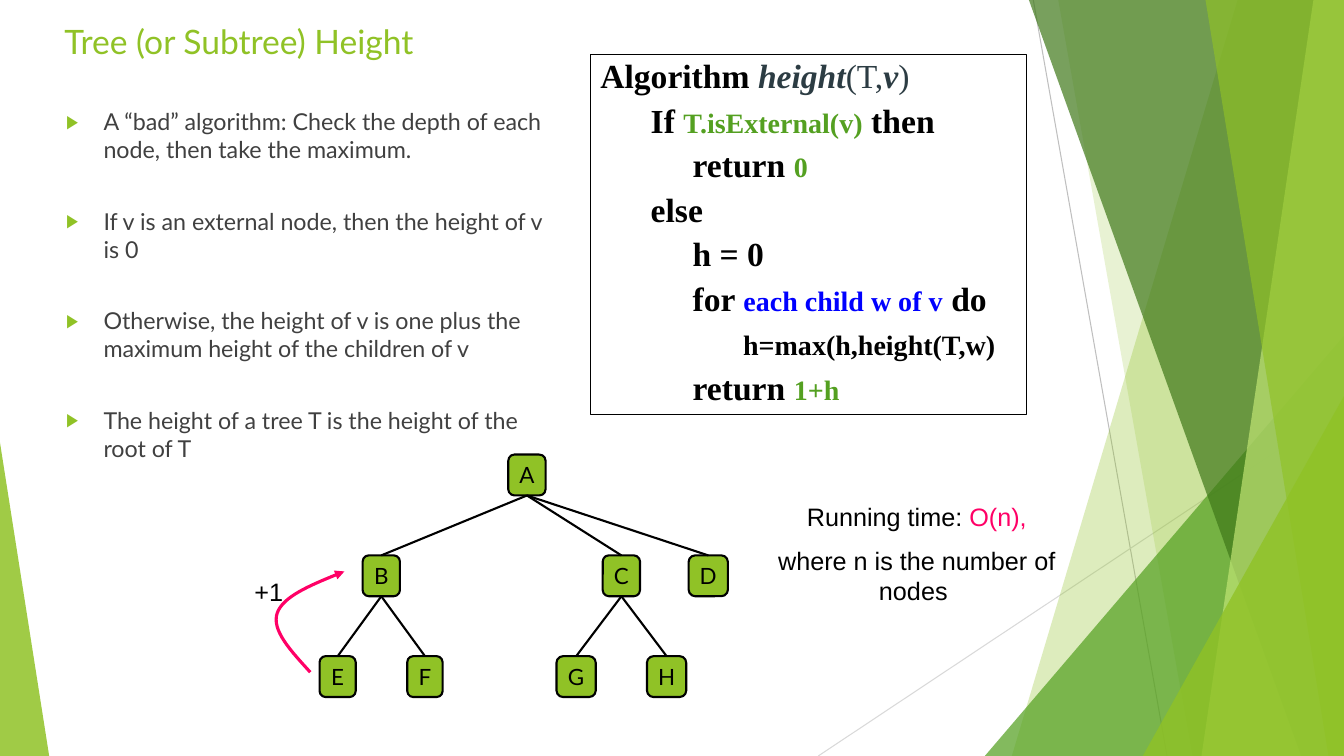
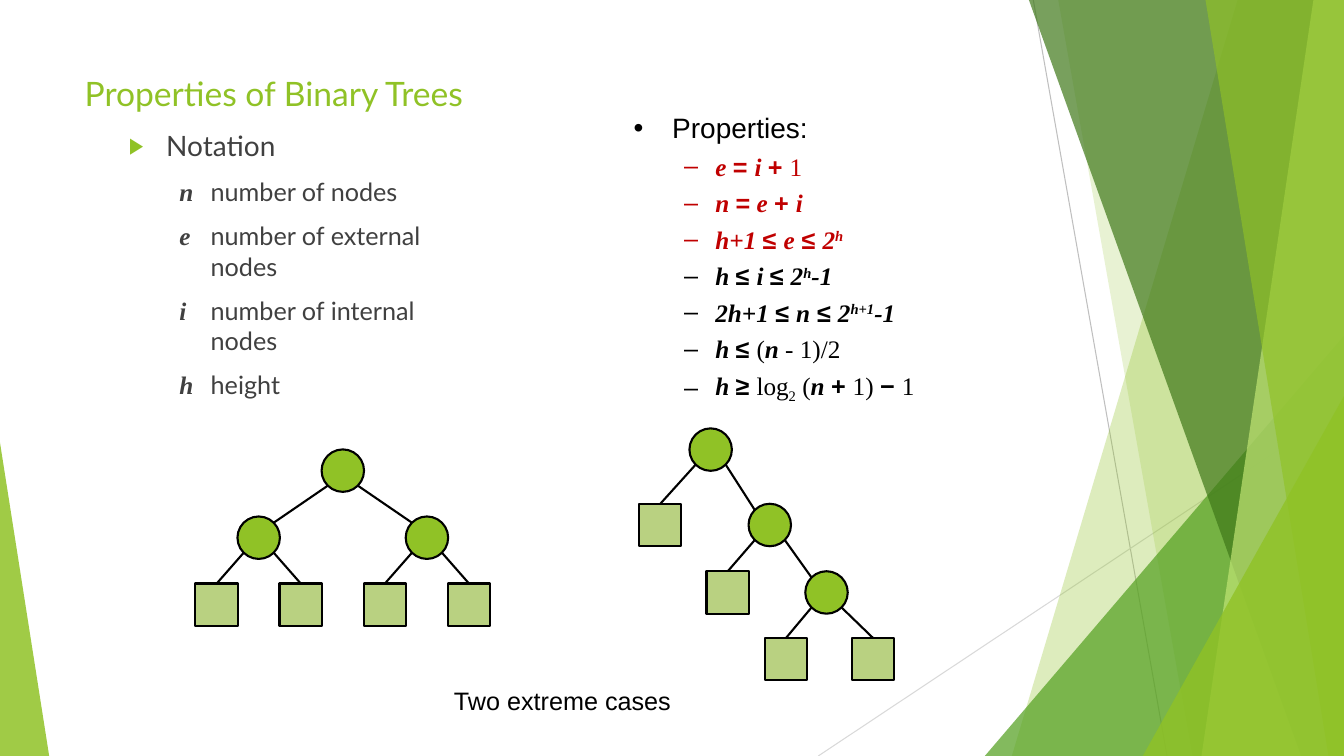
"""Build two slides on tree height and binary tree properties."""
import dataclasses
import typing

import lxml.etree
import pptx
import pptx.dml.color
import pptx.enum.shapes
import pptx.enum.text
import pptx.oxml.ns
import pptx.util

Cm = pptx.util.Cm
Pt = pptx.util.Pt
RGB = pptx.dml.color.RGBColor
SHAPE = pptx.enum.shapes.MSO_SHAPE
ALIGN = pptx.enum.text.PP_ALIGN
ANCHOR = pptx.enum.text.MSO_ANCHOR
qn = pptx.oxml.ns.qn

LIME = RGB(0x90, 0xC2, 0x26)
GREEN = RGB(0x54, 0xA0, 0x21)
FOREST = RGB(0x3F, 0x78, 0x19)
PALE_LIME = RGB(0xC0, 0xE4, 0x74)
LEAF = RGB(0xB9, 0xD1, 0x81)
SLATE = RGB(0x2C, 0x3C, 0x43)
BODY = RGB(0x40, 0x40, 0x40)
BLACK = RGB(0, 0, 0)
BLUE = RGB(0, 0, 0xFF)
RED = RGB(0xC0, 0, 0)
PINK = RGB(0xFF, 0, 0x66)
GREY = RGB(0xBF, 0xBF, 0xBF)
LIGHT_GREY = RGB(0xD9, 0xD9, 0xD9)
SLIDE_W, SLIDE_H = 33.87, 19.05
NODE = 1.07


@dataclasses.dataclass(frozen=True)
class Style:
    """Character formatting."""
    font: str
    size: float
    color: RGB = BLACK
    bold: bool = False
    italic: bool = False
    base: int = 0


@dataclasses.dataclass(frozen=True)
class Para:
    """A paragraph: its runs, spacing, indents in cm and bullet."""
    runs: list[tuple[str, Style]]
    before: float = 0
    left: float = 0
    hang: float = 0
    bullet: str = ""
    bullet_color: RGB | None = None
    align: ALIGN = ALIGN.LEFT
    spacing: float = 1.0
    level: int = 0


@dataclasses.dataclass(frozen=True)
class Pane:
    """A full-height translucent band ending at the right slide edge."""
    top_x: float
    bottom_x: float
    color: RGB
    alpha: int


@dataclasses.dataclass(frozen=True)
class Wedge:
    """A translucent right triangle standing on the slide's bottom."""
    x: float
    y: float
    w: float
    apex: int
    color: RGB
    alpha: int


@dataclasses.dataclass(frozen=True)
class Vertex:
    """A tree node by centre x and y, with its parent's name."""
    name: str
    x: float
    y: float
    parent: str = ""
    leaf: bool = False
    w: float = NODE


BACKDROP = [
    Pane(31.19, 25.5, LIME, 30), Pane(26.67, 30.05, LIME, 20),
    Wedge(24.82, 8.46, 9.05, 1, GREEN, 72),
    Pane(25.93, 32.79, FOREST, 70), Pane(33.1, 30.28, PALE_LIME, 70),
    Pane(30.38, 33.48, LIME, 65),
    Wedge(28.8, 9.98, 5.07, 1, LIME, 80), Wedge(0, 11.15, 1.24, 0, LIME, 85),
]

TITLE = Style("Lato", 24, LIME)
POINT = Style("Lato", 16.6, BODY)
HEADING = Style("Lato", 20, BODY)
MEANING = Style("Lato", 18, BODY)
SYMBOL = Style("Times New Roman", 18, BODY, True, True)
NOTE = Style("Arial", 18)
LABEL = Style("Lato", 16)

WORD = Style("Times New Roman", 24, BLACK, True)
SIGNATURE = Style("Times New Roman", 24, SLATE)
ARGUMENT = dataclasses.replace(SIGNATURE, bold=True, italic=True)
CODE = dataclasses.replace(WORD, size=20)
VALUE = dataclasses.replace(CODE, color=GREEN)
LOOP = dataclasses.replace(CODE, color=BLUE)

MATH = Style("Times New Roman", 18, BLACK, True, True)
SUP = dataclasses.replace(MATH, base=30)
OP = Style("Arial", 18, BLACK, True)
PLAIN = Style("Times New Roman", 18)
SUB = dataclasses.replace(PLAIN, base=-25)

POINTS = [
    "A “bad” algorithm: Check the depth of each node, then take the maximum.",
    "If v is an external node, then the height of v is 0",
    "Otherwise, the height of v is one plus the maximum height of the children of v",
    "The height of a tree T is the height of the root of T",
]
ALGORITHM = [
    [("Algorithm ", WORD), ("height", ARGUMENT), ("(T,", SIGNATURE), ("v", ARGUMENT), (")", SIGNATURE)],
    [("If ", WORD), ("T.isExternal(v)", VALUE), (" ", WORD), ("then", WORD)],
    [("     ", WORD), ("return ", WORD), ("0", VALUE)],
    [("else", WORD)],
    [("     h = 0", WORD)],
    [("     for ", WORD), ("each child w of v", LOOP), (" do", WORD)],
    [("\t     ", WORD), ("h=max(h,height(T,w)", CODE)],
    [("     ", WORD), ("return ", WORD), ("1+h", VALUE)],
]
NOTATION = [("n", "number of nodes"), ("e", "number of external nodes"),
            ("i", "number of internal nodes"), ("h", "height")]
PROPERTIES = [
    (RED, [("e ", MATH), ("= ", OP), ("i ", MATH), ("+ ", OP), ("1", PLAIN)]),
    (RED, [("n ", MATH), ("=", OP), (" e ", MATH), ("+ ", OP), ("i", MATH)]),
    (RED, [("h+1 ", MATH), ("≤ ", OP), ("e", MATH), (" ≤ ", OP), ("2", MATH), ("h", SUP)]),
    (BLACK, [("h ", MATH), ("≤ ", OP), ("i ", MATH), ("≤ ", OP), ("2", MATH), ("h", SUP), ("-1", MATH)]),
    (BLACK, [("2h+1 ", MATH), ("≤ ", OP), ("n", MATH), (" ≤ ", OP), ("2", MATH), ("h+1", SUP), ("-1", MATH)]),
    (BLACK, [("h ", MATH), ("≤ ", OP), ("(", PLAIN), ("n", MATH), (" - 1)/2", PLAIN)]),
    (BLACK, [("h ", MATH), ("≥ ", OP), ("log", PLAIN), ("2", SUB), (" (", PLAIN), ("n ", MATH),
             ("+ ", OP), ("1) ", PLAIN), ("− ", OP), ("1", PLAIN)]),
]

ROWS = [11.97 + 2.54 * i for i in range(3)]
HEIGHT_TREE = [
    Vertex("A", 13.28, ROWS[0], w=0.94), Vertex("B", 9.61, ROWS[1], "A", w=0.94),
    Vertex("C", 15.66, ROWS[1], "A", w=0.94), Vertex("D", 17.85, ROWS[1], "A", w=0.99),
    Vertex("E", 8.51, ROWS[2], "B", w=0.91), Vertex("F", 10.71, ROWS[2], "B", w=0.89),
    Vertex("G", 14.52, ROWS[2], "C", w=0.99), Vertex("H", 16.8, ROWS[2], "C", w=0.99),
]
LEAF_X, LEAF_GAP = 5.46, 2.12
FULL_TREE = [
    Vertex("root", LEAF_X + 1.5 * LEAF_GAP, 11.86),
    *(Vertex(f"inner{i}", LEAF_X + (2 * i + 0.5) * LEAF_GAP, 13.55, "root") for i in range(2)),
    *(Vertex(f"leaf{i}", LEAF_X + i * LEAF_GAP, 15.24, f"inner{i // 2}", True) for i in range(4)),
]
CHAIN_TREE = [
    Vertex("root", 17.91, 11.33), Vertex("leaf0", 16.64, 13.23, "root", True),
    Vertex("inner1", 19.4, 13.23, "root"), Vertex("leaf1", 18.34, 14.93, "inner1", True),
    Vertex("inner2", 20.83, 14.93, "inner1"), Vertex("leaf2", 19.81, 16.61, "inner2", True),
    Vertex("leaf3", 22, 16.61, "inner2", True),
]


def write(tf: typing.Any, paras: list[Para]) -> None:
    """Fill a text frame with paragraphs, run by run."""
    for i, para in enumerate(paras):
        p = tf.paragraphs[0] if i == 0 else tf.add_paragraph()
        p.alignment, p.level, p.line_spacing = para.align, para.level, para.spacing
        p.space_before = Pt(para.before if i else 0)
        pPr = p._p.get_or_add_pPr()
        pPr.set("marL", str(Cm(para.left)))
        pPr.set("indent", str(-Cm(para.hang)))
        if para.bullet:
            if para.bullet_color is not None:
                clr = lxml.etree.SubElement(pPr, qn("a:buClr"))
                lxml.etree.SubElement(clr, qn("a:srgbClr"), val=str(para.bullet_color))
                lxml.etree.SubElement(pPr, qn("a:buSzPct"), val="80000")
            lxml.etree.SubElement(pPr, qn("a:buFont"), typeface="Arial")
            lxml.etree.SubElement(pPr, qn("a:buChar"), char=para.bullet)
        for text, style in para.runs:
            r = p.add_run()
            r.text = text
            r.font.name, r.font.size, r.font.color.rgb = style.font, Pt(style.size), style.color
            r.font.bold, r.font.italic = style.bold, style.italic
            if style.base:
                r._r.get_or_add_rPr().set("baseline", str(style.base * 1000))


def add_text(s: typing.Any, x: float, y: float, w: float, h: float, paras: list[Para]) -> typing.Any:
    """Add a wrapping text box."""
    sp = s.shapes.add_textbox(Cm(x), Cm(y), Cm(w), Cm(h))
    sp.text_frame.word_wrap = True
    write(sp.text_frame, paras)
    return sp


def add_line(shapes: typing.Any, x1: float, y1: float, x2: float, y2: float,
             color: RGB = BLACK, width: float = 1.5) -> typing.Any:
    """Add a straight line without shadow."""
    line = shapes.add_connector(pptx.enum.shapes.MSO_CONNECTOR.STRAIGHT, Cm(x1), Cm(y1), Cm(x2), Cm(y2))
    line.line.color.rgb, line.line.width = color, Pt(width)
    lxml.etree.SubElement(line.element.spPr, qn("a:effectLst"))
    return line


def add_backdrop(s: typing.Any, layout: typing.Any) -> None:
    """Draw the facets as a group and hand them to the layout."""
    group = s.shapes.add_group_shape()
    add_line(group.shapes, 26.04, 0, 29.41, SLIDE_H, GREY, 0.75)
    add_line(group.shapes, SLIDE_W, 10.24, 20.62, SLIDE_H, LIGHT_GREY, 0.75)
    for facet in BACKDROP:
        if isinstance(facet, Pane):
            fb = group.shapes.build_freeform(Cm(facet.top_x), 0)
            corners = [(SLIDE_W, 0), (SLIDE_W, SLIDE_H), (facet.bottom_x, SLIDE_H)]
            fb.add_line_segments([(Cm(x), Cm(y)) for x, y in corners])
            sp = fb.convert_to_shape()
        else:
            sp = group.shapes.add_shape(SHAPE.ISOSCELES_TRIANGLE, Cm(facet.x), Cm(facet.y),
                                        Cm(facet.w), Cm(SLIDE_H - facet.y))
            sp.adjustments[0] = facet.apex
        sp.shadow.inherit = False
        sp.line.fill.background()
        sp.fill.solid()
        sp.fill.fore_color.rgb = facet.color
        clr = sp.element.spPr.find(".//" + qn("a:srgbClr"))
        lxml.etree.SubElement(clr, qn("a:alpha"), val=str(facet.alpha * 1000))
    layout.shapes.element.insert(2, group.element)


def set_title(s: typing.Any, text: str, x: float, y: float, w: float, h: float) -> None:
    """Place and format the title placeholder."""
    sp = s.shapes.title
    sp.left, sp.top, sp.width, sp.height = Cm(x), Cm(y), Cm(w), Cm(h)
    tf = sp.text_frame
    tf.auto_size = pptx.enum.text.MSO_AUTO_SIZE.NONE
    tf.vertical_anchor = ANCHOR.TOP
    write(tf, [Para([(text, TITLE)])])


def add_node(s: typing.Any, v: Vertex, kind: SHAPE, h: float = NODE) -> typing.Any:
    """Add one outlined node centred on its vertex."""
    sp = s.shapes.add_shape(kind, Cm(v.x - v.w / 2), Cm(v.y - h / 2), Cm(v.w), Cm(h))
    sp.shadow.inherit = False
    sp.fill.solid()
    sp.fill.fore_color.rgb = LEAF if v.leaf else LIME
    sp.line.color.rgb, sp.line.width = BLACK, Pt(1.5)
    return sp


def add_labelled_tree(s: typing.Any, tree: list[Vertex]) -> None:
    """Draw rounded, lettered nodes joined bottom to top."""
    nodes = {}
    for v in tree:
        sp = nodes[v.name] = add_node(s, v, SHAPE.ROUNDED_RECTANGLE, 1.03)
        sp.text_frame.word_wrap = False
        sp.text_frame.vertical_anchor = ANCHOR.MIDDLE
        write(sp.text_frame, [Para([(v.name, LABEL)], align=ALIGN.CENTER)])
        if v.parent:
            line = add_line(s.shapes, 0, 0, 1, 1)
            line.begin_connect(nodes[v.parent], 2)
            line.end_connect(sp, 0)


def add_plain_tree(s: typing.Any, tree: list[Vertex]) -> None:
    """Draw round inner nodes and square leaves joined at the diagonals."""
    places = {v.name: v for v in tree}
    reach = NODE / 2 * 0.5 ** 0.5
    for v in tree:
        sp = add_node(s, v, SHAPE.RECTANGLE if v.leaf else SHAPE.OVAL)
        if v.parent:
            parent = places[v.parent]
            dx = reach if v.x > parent.x else -reach
            line = add_line(s.shapes, parent.x + dx, parent.y + reach, v.x - dx, v.y - reach)
            if v.leaf:
                line.end_connect(sp, 0)


def add_curved_arrow(s: typing.Any, points: list[tuple[float, float]]) -> None:
    """Draw cubic curves through the points, with an arrowhead at the start."""
    (x, y), *rest = [(Cm(a), Cm(b)) for a, b in points]
    fb = s.shapes.build_freeform(x, y)
    fb.add_line_segments(rest, close=False)
    sp = fb.convert_to_shape()
    sp.shadow.inherit = False
    sp.fill.background()
    sp.line.color.rgb, sp.line.width = PINK, Pt(2.25)
    lxml.etree.SubElement(sp.line._get_or_add_ln(), qn("a:headEnd"), type="triangle")
    steps = list(sp.element.iter(qn("a:lnTo")))
    outline = steps[0].getparent()
    for i in range(0, len(steps), 3):
        curve = lxml.etree.SubElement(outline, qn("a:cubicBezTo"))
        for step in steps[i:i + 3]:
            curve.append(step[0])
            outline.remove(step)


def build_height(s: typing.Any) -> None:
    """Build the slide on tree height."""
    set_title(s, "Tree (or Subtree) Height", 1.37, 0.41, 10.62, 1.9)
    add_text(s, 1.42, 2.59, 12.7, 8.46,
             [Para([(text, POINT)], 31.2, 0.94, 0.94, "▶", LIME) for text in POINTS])
    box = add_text(s, 14.88, 1.38, 11, 9.07,
                   [Para(runs, 5.9, 1.27 if i else 0, spacing=0.9, level=min(i, 1))
                    for i, runs in enumerate(ALGORITHM)])
    box.line.color.rgb, box.line.width = BLACK, Pt(0.75)
    add_labelled_tree(s, HEIGHT_TREE)
    add_curved_arrow(s, [(8.68, 14.4), (7.9, 14.71), (7.14, 15.04), (6.99, 15.44),
                         (6.83, 15.88), (7.34, 16.41), (7.82, 16.94)])
    add_text(s, 5.72, 14.4, 2.11, 1.02, [Para([("+1", NOTE)], align=ALIGN.CENTER)])
    add_text(s, 19.08, 12.52, 8.05, 2.95, [
        Para([("Running time: ", NOTE), ("O(n),", dataclasses.replace(NOTE, color=PINK))],
             align=ALIGN.CENTER),
        Para([("where n is the number of nodes ", NOTE)], 9.5, align=ALIGN.CENTER)])


def build_properties(s: typing.Any) -> None:
    """Build the slide on binary tree properties."""
    set_title(s, "Properties of Binary Trees", 1.88, 1.7, 23.88, 3.66)
    add_text(s, 3, 3.12, 8.46, 7.19,
             [Para([("Notation", HEADING)], 0, 0.94, 0.94, "▶", LIME)]
             + [Para([(f"{symbol}\t", SYMBOL), (meaning, MEANING)], 10, 2.06, 0.79, level=1)
                for symbol, meaning in NOTATION])
    add_text(s, 15.72, 2.67, 9.53, 10.16,
             [Para([("Properties:", Style("Arial", 20))], 0, 0.97, 0.97, "•")]
             + [Para([(text, dataclasses.replace(style, color=color)) for text, style in runs],
                     4.5, 2.06, 0.79, "–", level=1) for color, runs in PROPERTIES])
    add_plain_tree(s, FULL_TREE)
    add_plain_tree(s, CHAIN_TREE)
    add_text(s, 11, 17.15, 6.35, 1.02, [Para([("Two extreme cases", NOTE)], align=ALIGN.CENTER)])


def main() -> None:
    """Build and save the presentation."""
    prs = pptx.Presentation()
    prs.slide_width, prs.slide_height = Cm(SLIDE_W), Cm(SLIDE_H)
    layout = prs.slide_layouts[5]
    slides = [prs.slides.add_slide(layout) for _ in range(2)]
    add_backdrop(slides[0], layout)
    build_height(slides[0])
    build_properties(slides[1])
    prs.save("out.pptx")


if __name__ == "__main__":
    main()
